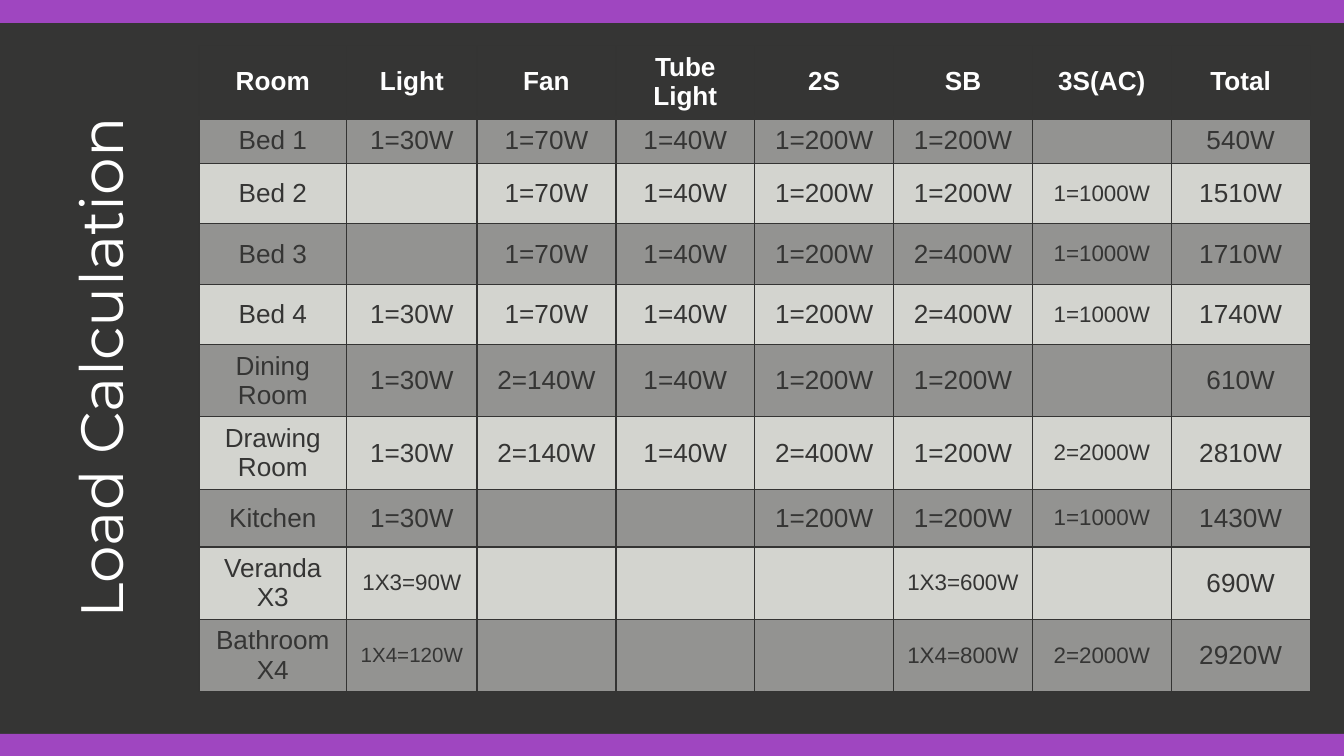
from lxml.etree import SubElement
from pptx import Presentation
from pptx.dml.color import RGBColor
from pptx.enum.shapes import MSO_SHAPE
from pptx.enum.text import MSO_ANCHOR, MSO_AUTO_SIZE, PP_ALIGN
from pptx.oxml.ns import qn
from pptx.util import Inches, Pt

CHARCOAL, GRID, PURPLE, WHITE = "353534", "343433", "9F46C0", "FFFFFF"
BANDS = ("D3D4CF", "939391")
TABLE_WIDTH, ROOM_WIDTH, LIGHT_WIDTH = 8.27, 1.1, 0.97
COLUMN_WIDTHS = [ROOM_WIDTH, LIGHT_WIDTH] + [(TABLE_WIDTH - ROOM_WIDTH - LIGHT_WIDTH) / 6] * 6
ROW_HEIGHTS = [0.48, 0.28, 0.45, 0.45, 0.45, 0.48, 0.48, 0.43, 0.48, 0.48]
LOADS = [
    ["Room", "Light", "Fan", "Tube Light", "2S", "SB", "3S(AC)", "Total"],
    ["Bed 1", "1=30W", "1=70W", "1=40W", "1=200W", "1=200W", "", "540W"],
    ["Bed 2", "", "1=70W", "1=40W", "1=200W", "1=200W", "1=1000W", "1510W"],
    ["Bed 3", "", "1=70W", "1=40W", "1=200W", "2=400W", "1=1000W", "1710W"],
    ["Bed 4", "1=30W", "1=70W", "1=40W", "1=200W", "2=400W", "1=1000W", "1740W"],
    ["Dining Room", "1=30W", "2=140W", "1=40W", "1=200W", "1=200W", "", "610W"],
    ["Drawing Room", "1=30W", "2=140W", "1=40W", "2=400W", "1=200W", "2=2000W", "2810W"],
    ["Kitchen", "1=30W", "", "", "1=200W", "1=200W", "1=1000W", "1430W"],
    ["Veranda X3", "1X3=90W", "", "", "", "1X3=600W", "", "690W"],
    ["Bathroom\vX4", "1X4=120W", "", "", "", "1X4=800W", "2=2000W", "2920W"],
]


def color(value):
    """Turn a hex string into a colour."""
    return RGBColor.from_string(value)


def apply(target, formats):
    """Set every attribute in a dict of format values."""
    for attribute, value in formats.items():
        setattr(target, attribute, value)


def style_font(font, name, size, shade, bold=False):
    """Format a font."""
    apply(font, {"name": name, "size": Pt(size), "bold": bold})
    font.color.rgb = color(shade)


def add_bar(slide, top):
    """Add a purple bar across the slide."""
    bar = slide.shapes.add_shape(
        MSO_SHAPE.RECTANGLE, 0, Inches(top), Inches(10), Inches(0.18))
    bar.shadow.inherit = False
    bar.fill.solid()
    bar.fill.fore_color.rgb = color(PURPLE)
    bar.line.fill.background()


def set_title(slide, text):
    """Turn the title upright along the left edge."""
    title = slide.shapes.title
    apply(title, {"left": Inches(-1.81), "top": Inches(2.42),
                  "width": Inches(5.1), "height": Inches(0.63), "rotation": 270})
    frame = title.text_frame
    margins = dict.fromkeys(
        ("margin_left", "margin_top", "margin_right", "margin_bottom"), Inches(0.1))
    apply(frame, {"text": text, "word_wrap": True, "auto_size": MSO_AUTO_SIZE.NONE,
                  "vertical_anchor": MSO_ANCHOR.MIDDLE, **margins})
    heading = frame.paragraphs[0]
    heading.alignment = PP_ALIGN.CENTER
    style_font(heading.runs[0].font, "Montserrat", 32, WHITE)


def add_border(cell, side, shade, width):
    """Draw one border of a cell."""
    border = SubElement(cell._tc.get_or_add_tcPr(), qn(f"a:ln{side}"), w=str(Pt(width)))
    SubElement(SubElement(border, qn("a:solidFill")), qn("a:srgbClr"), val=shade)


def load_size(text):
    """Shrink long load entries to fit their column."""
    if text == "1X4=120W":
        return 11
    return 12 if "=" in text and len(text) > 6 else 14


def fill_cell(cell, text, row):
    """Write and format one cell of the load table."""
    header = row == 0
    heavy_sides = {0: "B", 1: "T"}
    for side in "LRTB":
        heavy = heavy_sides.get(row) == side
        add_border(cell, side, CHARCOAL if heavy else GRID, 2 if heavy else 0.75)
    cell.fill.solid()
    cell.fill.fore_color.rgb = color(CHARCOAL if header else BANDS[row % 2])
    apply(cell, {"text": text, "vertical_anchor": MSO_ANCHOR.MIDDLE})
    entry = cell.text_frame.paragraphs[0]
    entry.alignment = PP_ALIGN.CENTER
    for run in entry.runs:
        style_font(run.font, "Arial", load_size(text), WHITE if header else CHARCOAL, header)
    if not text:
        SubElement(entry._p, qn("a:endParaRPr"), sz="1400")


def add_load_table(slide):
    """Add the table of loads per room."""
    holder = slide.shapes.add_table(
        len(LOADS), len(LOADS[0]), Inches(1.48), Inches(0.34), Inches(TABLE_WIDTH), Inches(4.95))
    table = holder.table
    for column, width in zip(table.columns, COLUMN_WIDTHS):
        column.width = Inches(width)
    for row, height in zip(table.rows, ROW_HEIGHTS):
        row.height = Inches(height)
    holder.height = Inches(4.95)
    for row, loads in enumerate(LOADS):
        for column, text in enumerate(loads):
            fill_cell(table.cell(row, column), text, row)


def main():
    """Build the load calculation slide."""
    deck = Presentation()
    apply(deck, {"slide_width": Inches(10), "slide_height": Inches(10) * 9 // 16})
    slide = deck.slides.add_slide(deck.slide_layouts[5])
    slide.background.fill.solid()
    slide.background.fill.fore_color.rgb = color(CHARCOAL)
    for top in (-0.01, 5.46):
        add_bar(slide, top)
    set_title(slide, "Load Calculation")
    add_load_table(slide)
    deck.save("out.pptx")


if __name__ == "__main__":
    main()
